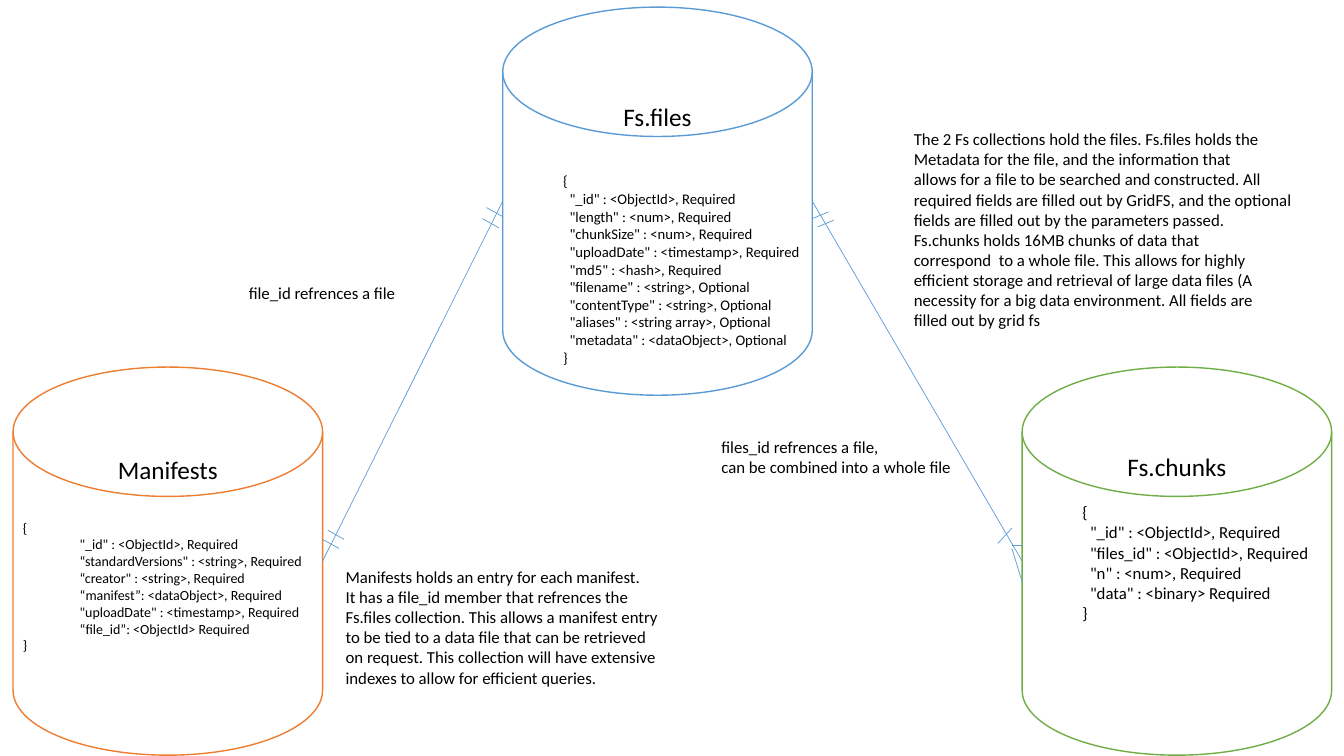
from lxml import etree
from pptx import Presentation
from pptx.dml.color import RGBColor
from pptx.enum import shapes, text
from pptx.oxml.ns import qn
from pptx.util import Cm, Pt

DISK_W, DISK_H = 7.8, 9.78
BLUE, ORANGE, GREEN = "5B9BD5", "ED7D31", "70AD47"
INDENT = 36

FILES_FIELDS = [
    '"_id" : <ObjectId>, Required',
    '"length" : <num>, Required',
    '"chunkSize" : <num>, Required',
    '"uploadDate" : <timestamp>, Required',
    '"md5" : <hash>, Required',
    '"filename" : <string>, Optional',
    '"contentType" : <string>, Optional',
    '"aliases" : <string array>, Optional',
    '"metadata" : <dataObject>, Optional',
]
MANIFEST_FIELDS = [
    '"_id" : <ObjectId>, Required',
    '“standardVersions" : <string>, Required',
    '“creator" : <string>, Required',
    '“manifest”: <dataObject>, Required',
    '"uploadDate" : <timestamp>, Required',
    '“file_id”: <ObjectId> Required',
]
CHUNK_FIELDS = [
    '"_id" : <ObjectId>, Required',
    '"files_id" : <ObjectId>, Required',
    '"n" : <num>, Required',
    '"data" : <binary> Required',
]
FILE_NOTE = ["file_id refrences a file"]
CHUNK_NOTE = ["files_id refrences a file, ", "can be combined into a whole file"]
MANIFEST_NOTE = [
    "Manifests holds an entry for each manifest.",
    "It has a file_id member that refrences the ",
    "Fs.files collection. This allows a manifest entry",
    "to be tied to a data file that can be retrieved",
    "on request. This collection will have extensive",
    "indexes to allow for efficient queries.",
]
FS_NOTE = [
    "The 2 Fs collections hold the files. Fs.files holds the",
    "Metadata for the file, and the information that ",
    "allows for a file to be searched and constructed. All ",
    "required fields are filled out by GridFS, and the optional",
    "fields are filled out by the parameters passed. ",
    "Fs.chunks holds 16MB chunks of data that ",
    "correspond  to a whole file. This allows for highly",
    "efficient storage and retrieval of large data files (A",
    "necessity for a big data environment. All fields are",
    "filled out by grid fs",
]


def color(value):
    return RGBColor.from_string(value)


def add_text(tf, content, size=12, align=text.PP_ALIGN.LEFT, indent=0, before=0):
    p = tf.paragraphs[0]
    if p.runs:
        p = tf.add_paragraph()
    p.alignment = align
    p.space_before = Pt(before)
    p._p.get_or_add_pPr().set("marL", str(Pt(indent)))
    r = p.add_run()
    r.text = content
    r.font.size = Pt(size)
    r.font.name = "Calibri"
    r.font.color.rgb = color("000000")


def add_disk(s, x, y, line, title, fields, size, brace_indent, gap, bottom=0):
    sp = s.shapes.add_shape(shapes.MSO_SHAPE.FLOWCHART_MAGNETIC_DISK,
                            Cm(x), Cm(y), Cm(DISK_W), Cm(DISK_H))
    sp.shadow.inherit = False
    sp.fill.solid()
    sp.fill.fore_color.rgb = color("FFFFFF")
    sp.line.color.rgb = color(line)
    sp.line.width = Pt(1)
    tf = sp.text_frame
    tf.word_wrap = True
    tf.vertical_anchor = text.MSO_ANCHOR.MIDDLE
    tf.margin_bottom = Pt(3.6 + bottom)
    add_text(tf, title, size=18, align=text.PP_ALIGN.CENTER)
    add_text(tf, "{", size=size, indent=brace_indent, before=gap)
    for field in fields:
        add_text(tf, field, size=size, indent=INDENT + 0.45 * size)
    add_text(tf, "}", size=size, indent=brace_indent)


def add_note(s, x, y, w, h, lines):
    tf = s.shapes.add_textbox(Cm(x), Cm(y), Cm(w), Cm(h)).text_frame
    tf.word_wrap = False
    tf.auto_size = text.MSO_AUTO_SIZE.SHAPE_TO_FIT_TEXT
    for line in lines:
        add_text(tf, line)


def add_line(s, x1, y1, x2, y2):
    c = s.shapes.add_connector(shapes.MSO_CONNECTOR.STRAIGHT,
                               Cm(x1), Cm(y1), Cm(x2), Cm(y2))
    c.line.color.rgb = color(BLUE)
    c.line.width = Pt(0.5)
    etree.SubElement(c._element.spPr, qn("a:effectLst"))


def add_one_mark(s, x, y, step_x, step_y, rise):
    for i in range(2):
        left, top = x + i * step_x, y + i * step_y
        add_line(s, left, top, left + 0.41, top + rise)


def add_many_mark(s, x, edge):
    add_line(s, x, 13.74, edge, 13.74)
    add_line(s, x, 13.82, edge, 14.66)
    add_line(s, x - 0.35, 13.69, x, 13.31)


def main():
    prs = Presentation()
    prs.slide_width, prs.slide_height = Cm(33.87), Cm(19.05)
    s = prs.slides.add_slide(prs.slide_layouts[6])

    files_x, manifests_x, chunks_x, low_y = 12.67, 0.33, 25.76, 9.25
    add_disk(s, files_x, 0.18, BLUE, "Fs.files", FILES_FIELDS, 10.5, INDENT, 29.3)
    add_disk(s, manifests_x, low_y, ORANGE, "Manifests", MANIFEST_FIELDS, 10, 0, 24.4,
             bottom=56)
    add_disk(s, chunks_x, low_y, GREEN, "Fs.chunks", CHUNK_FIELDS, 12, INDENT, 14.65,
             bottom=80.6)

    add_note(s, 6.02, 6.99, 4.24, 0.76, FILE_NOTE)
    add_note(s, 17.93, 10.87, 6.38, 1.27, CHUNK_NOTE)
    add_note(s, 8.46, 14.15, 8.48, 3.33, MANIFEST_NOTE)
    add_note(s, 22.78, 3.12, 10.13, 5.38, FS_NOTE)

    files_right, manifests_right = files_x + DISK_W, manifests_x + DISK_W
    files_mid, low_mid = 0.18 + DISK_H / 2, low_y + DISK_H / 2
    add_line(s, manifests_right, low_mid, files_x, files_mid)
    add_line(s, chunks_x, low_mid, files_right, files_mid)
    add_one_mark(s, files_right, 5.51, 0.13, 0.21, -0.17)
    add_one_mark(s, files_x - 0.41, 5.23, -0.1, 0.28, 0.23)
    add_one_mark(s, manifests_right, 13.59, 0.13, -0.23, 0.23)
    add_many_mark(s, 25.5, chunks_x)

    prs.save("out.pptx")


main()
